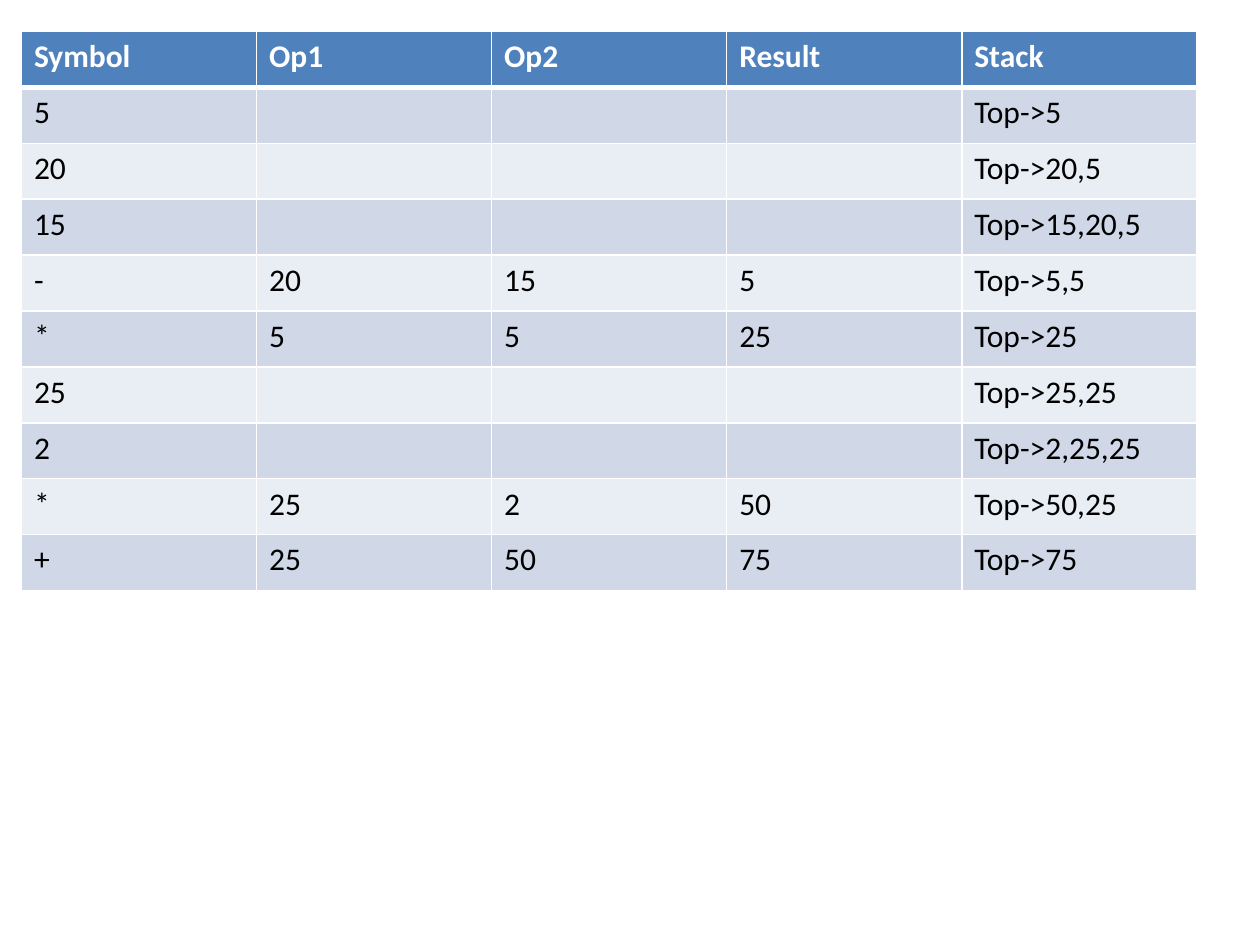
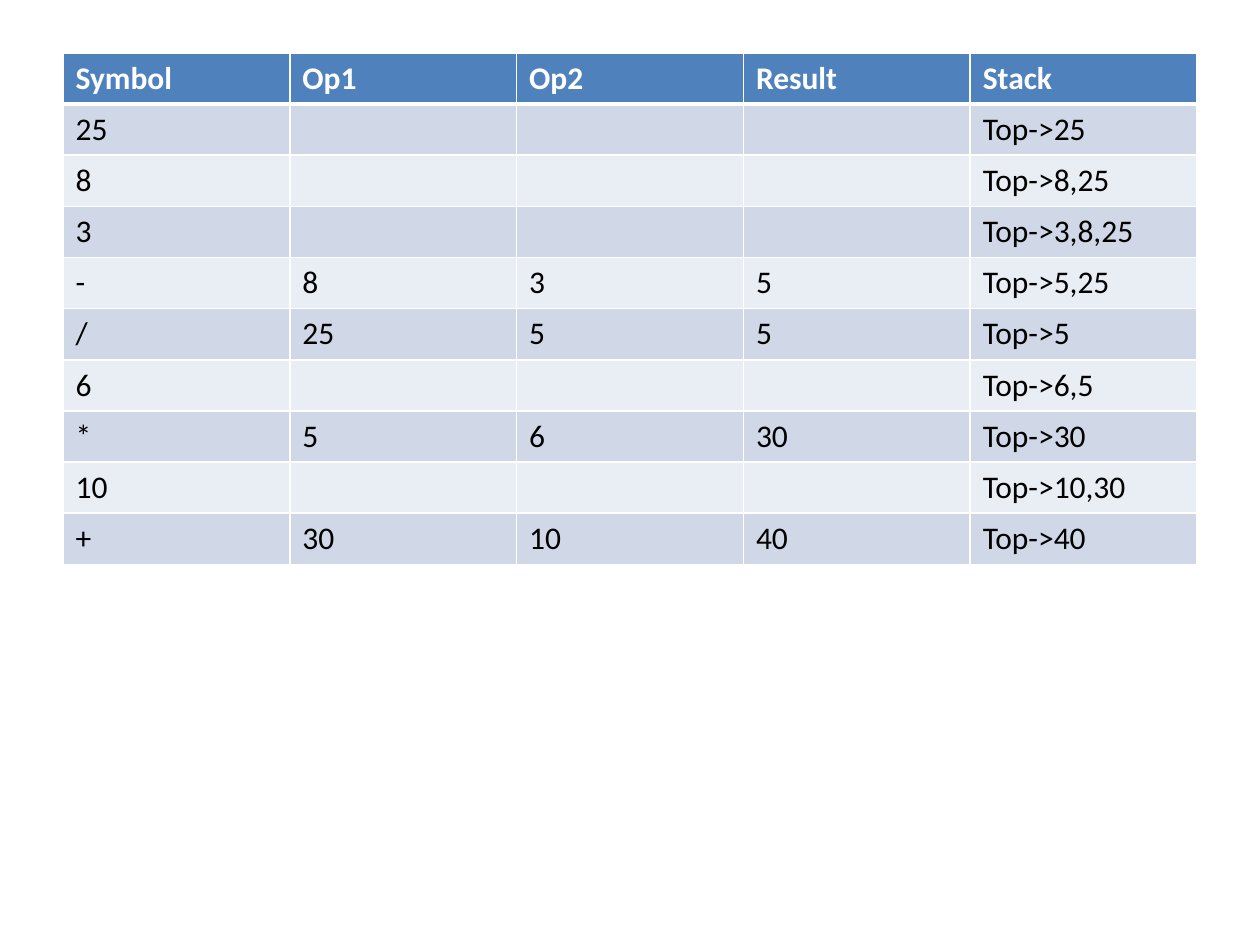
from dataclasses import dataclass

from lxml.etree import SubElement
from pptx import Presentation
from pptx.dml.color import RGBColor
from pptx.oxml.ns import qn
from pptx.util import Inches, Pt


@dataclass(frozen=True)
class Theme:
    font: str = "Calibri"
    text_size: int = 18
    header_fill: str = "4F81BD"
    header_text: str = "FFFFFF"
    body_text: str = "000000"
    bands: tuple = ("D0D8E8", "E9EDF4")
    border: str = "FFFFFF"
    thin: int = 1
    thick: int = 3


theme = Theme()

HEADINGS = ("Symbol", "Op1", "Op2", "Result", "Stack")

# Each step: symbol, first operand, second operand, result, stack
EVALUATIONS = [
    {
        "place": (0.17, 0.25, 9.33, 4.44),
        "steps": [
            ("5", "", "", "", "Top->5"),
            ("20", "", "", "", "Top->20,5"),
            ("15", "", "", "", "Top->15,20,5"),
            ("-", "20", "15", "5", "Top->5,5"),
            ("*", "5", "5", "25", "Top->25"),
            ("25", "", "", "", "Top->25,25"),
            ("2", "", "", "", "Top->2,25,25"),
            ("*", "25", "2", "50", "Top->50,25"),
            ("+", "25", "50", "75", "Top->75"),
        ],
    },
    {
        "place": (0.5, 0.42, 9, 4.06),
        "steps": [
            ("25", "", "", "", "Top->25"),
            ("8", "", "", "", "Top->8,25"),
            ("3", "", "", "", "Top->3,8,25"),
            ("-", "8", "3", "5", "Top->5,25"),
            ("/", "25", "5", "5", "Top->5"),
            ("6", "", "", "", "Top->6,5"),
            ("*", "5", "6", "30", "Top->30"),
            ("10", "", "", "", "Top->10,30"),
            ("+", "30", "10", "40", "Top->40"),
        ],
    },
]


def add_borders(cell, widths):
    """Draw the cell's edges; must run before the fill, which follows them in the XML."""
    properties = cell._tc.get_or_add_tcPr()
    for edge, width in widths.items():
        line = SubElement(properties, qn(f"a:ln{edge}"), w=str(Pt(width)))
        fill = SubElement(line, qn("a:solidFill"))
        SubElement(fill, qn("a:srgbClr"), val=theme.border)


def fill_cell(cell, text, row_number):
    is_header = row_number == 0
    add_borders(cell, {
        "L": theme.thin,
        "R": theme.thin,
        "T": theme.thick if row_number == 1 else theme.thin,
        "B": theme.thick if is_header else theme.thin,
    })
    band = theme.bands[(row_number - 1) % len(theme.bands)]
    cell.fill.solid()
    cell.fill.fore_color.rgb = RGBColor.from_string(theme.header_fill if is_header else band)

    paragraph = cell.text_frame.paragraphs[0]
    text_format = {"name": theme.font, "size": Pt(theme.text_size), "bold": is_header}
    if not text:
        return
    span = paragraph.add_run()
    span.text = text
    for attribute, value in text_format.items():
        setattr(span.font, attribute, value)
    span.font.color.rgb = RGBColor.from_string(
        theme.header_text if is_header else theme.body_text
    )


deck = Presentation()
deck.slide_width = Inches(10)
deck.slide_height = Inches(7.5)
blank_layout = deck.slide_layouts[6]

for evaluation in EVALUATIONS:
    page = deck.slides.add_slide(blank_layout)
    rows = [HEADINGS, *evaluation["steps"]]
    place = [Inches(length) for length in evaluation["place"]]
    table = page.shapes.add_table(len(rows), len(HEADINGS), *place).table
    for row_number, row in enumerate(rows):
        for column_number, text in enumerate(row):
            fill_cell(table.cell(row_number, column_number), text, row_number)

deck.save("out.pptx")
